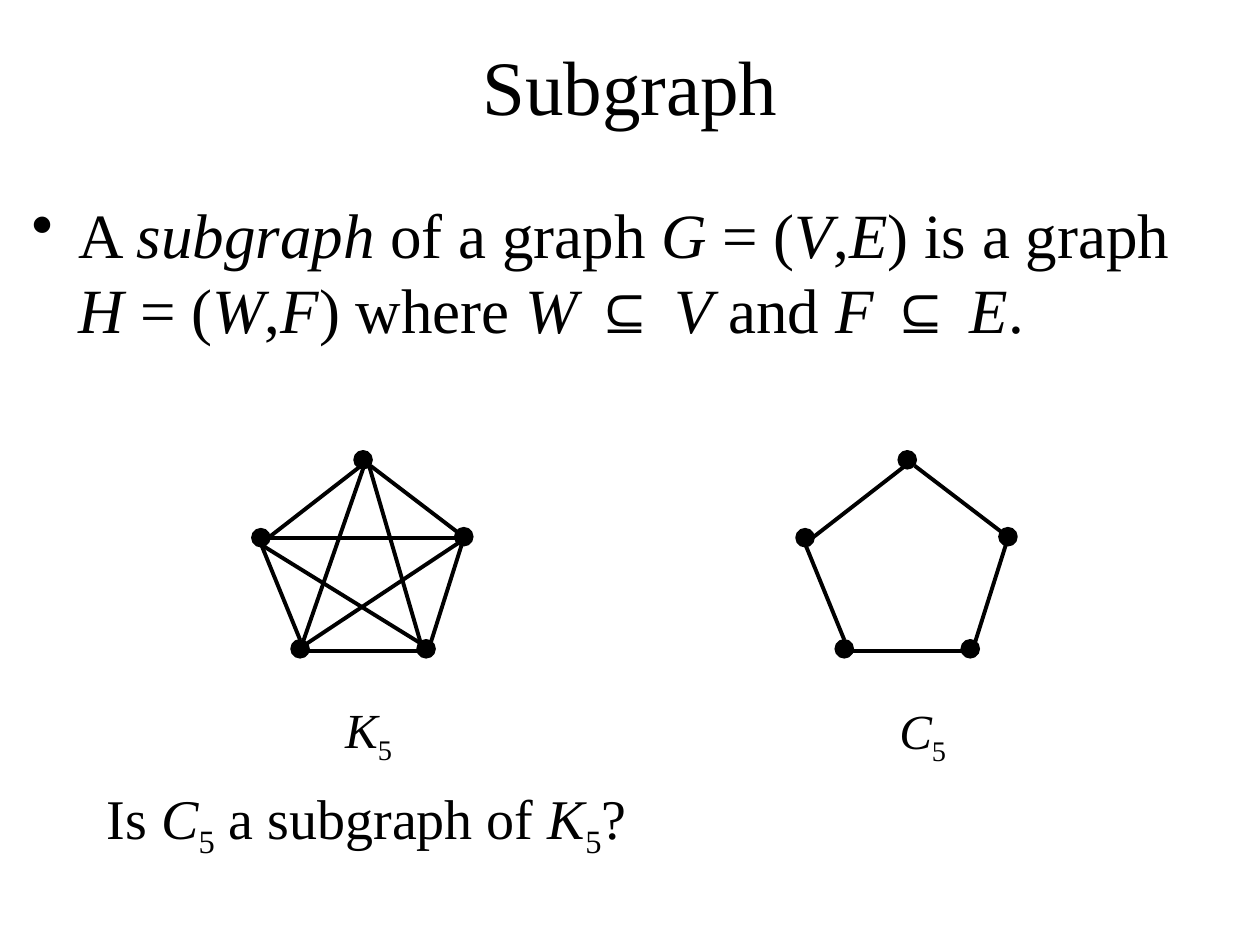
import pptx
import pptx.dml.color
import pptx.enum.shapes
import pptx.enum.text
import pptx.oxml.ns
import pptx.util
from lxml import etree

Cm = pptx.util.Cm
Pt = pptx.util.Pt
COLORS = {"ink": "000000", "paper": "FFFFFF"}
INK = pptx.dml.color.RGBColor.from_string(COLORS["ink"])
FONT = "Times New Roman"


def add_spans(para, size, spans):
    for text, style in spans:
        span = para.add_run()
        span.text = text
        span.font.size = Pt(size)
        span.font.name = "Arial" if style == "symbol" else FONT
        span.font.italic = style == "italic"
        span.font.color.rgb = INK
        if style == "sub":
            span._r.get_or_add_rPr().set("baseline", "-25000")


def add_text(page, left, top, width, height, size, spans, wrap=True):
    box = page.shapes.add_textbox(Cm(left), Cm(top), Cm(width), Cm(height))
    box.text_frame.word_wrap = wrap
    add_spans(box.text_frame.paragraphs[0], size, spans)
    return box


deck = pptx.Presentation()
deck.slide_width = Cm(25.4)
deck.slide_height = Cm(19.05)
page = deck.slides.add_slide(deck.slide_layouts[5])
page.background.fill.solid()
page.background.fill.fore_color.rgb = pptx.dml.color.RGBColor.from_string(COLORS["paper"])

title = page.shapes.title
title.left, title.top, title.width, title.height = Cm(1.27), Cm(0.43), Cm(22.86), Cm(2.54)
title.text_frame.vertical_anchor = pptx.enum.text.MSO_ANCHOR.MIDDLE
title.text_frame.paragraphs[0].alignment = pptx.enum.text.PP_ALIGN.CENTER
add_spans(title.text_frame.paragraphs[0], 44, [("Subgraph", "plain")])

definition = add_text(page, 0.64, 3.81, 23.93, 4.24, 36, [
    ("A ", "plain"), ("subgraph", "italic"), (" of a graph ", "plain"),
    ("G", "italic"), (" = (", "plain"), ("V", "italic"), (",", "plain"),
    ("E", "italic"), (") is a graph ", "plain"),
    ("H", "italic"), (" = (", "plain"), ("W", "italic"), (",", "plain"),
    ("F", "italic"), (") where ", "plain"),
    ("W ", "italic"), ("⊆ ", "symbol"), ("V", "italic"), (" and ", "plain"),
    ("F ", "italic"), ("⊆ ", "symbol"), ("E", "italic"), (".", "plain"),
])
definition.text_frame.margin_left = definition.text_frame.margin_right = 0
properties = definition.text_frame.paragraphs[0]._p.get_or_add_pPr()
properties.set("marL", str(Cm(0.95)))
properties.set("indent", str(-Cm(0.95)))
bullet_color = etree.SubElement(properties, pptx.oxml.ns.qn("a:buClr"))
etree.SubElement(bullet_color, pptx.oxml.ns.qn("a:srgbClr"), val=COLORS["ink"])
etree.SubElement(properties, pptx.oxml.ns.qn("a:buChar"), char="•")

GRAPH_TOP = 9.09
DOT = 0.36
VERTICES = [(2.06, 0), (0, 1.57), (4.09, 1.55), (0.79, 3.81), (3.33, 3.81)]
CYCLE = [
    (0.15, 1.8, 0.97, 3.81),
    (3.5, 4.04, 1.07, 4.04),
    (3.58, 3.94, 4.24, 1.85),
    (2.39, 0.3, 4.29, 1.75),
    (0.33, 1.75, 2.39, 0.15),
]
DIAGONALS = [
    (0.2, 1.9, 3.53, 3.96),
    (0.99, 3.96, 4.32, 1.75),
    (2.34, 0.23, 3.45, 4.04),
    (2.26, 0.3, 0.99, 3.96),
    (0.2, 1.75, 4.17, 1.75),
]
GRAPHS = [
    ("C", 16.05, 17.88, 14.0, CYCLE),
    ("K", 5.08, 6.71, 13.97, CYCLE + DIAGONALS),
]

for letter, graph_left, label_left, label_top, edges in GRAPHS:
    for x1, y1, x2, y2 in edges:
        edge = page.shapes.add_connector(
            pptx.enum.shapes.MSO_CONNECTOR.STRAIGHT,
            Cm(graph_left + x1), Cm(GRAPH_TOP + y1),
            Cm(graph_left + x2), Cm(GRAPH_TOP + y2))
        edge.line.color.rgb = INK
        edge.line.width = Pt(2.25)
        etree.SubElement(edge._element.spPr, pptx.oxml.ns.qn("a:effectLst"))
    for x, y in VERTICES:
        vertex = page.shapes.add_shape(
            pptx.enum.shapes.MSO_SHAPE.OVAL,
            Cm(graph_left + x), Cm(GRAPH_TOP + y), Cm(DOT), Cm(DOT))
        vertex.shadow.inherit = False
        vertex.fill.solid()
        vertex.fill.fore_color.rgb = INK
        vertex.line.color.rgb = INK
        vertex.line.width = Pt(1)
    add_text(page, label_left, label_top, 1.45, 1.6, 28,
             [(letter, "italic"), ("5", "sub")], wrap=False)

add_text(page, 1.9, 15.67, 11.07, 1.8, 32, [
    ("Is ", "plain"), ("C", "italic"), ("5", "sub"), (" a subgraph of ", "plain"),
    ("K", "italic"), ("5", "sub"), ("?", "plain"),
])

deck.save("out.pptx")
